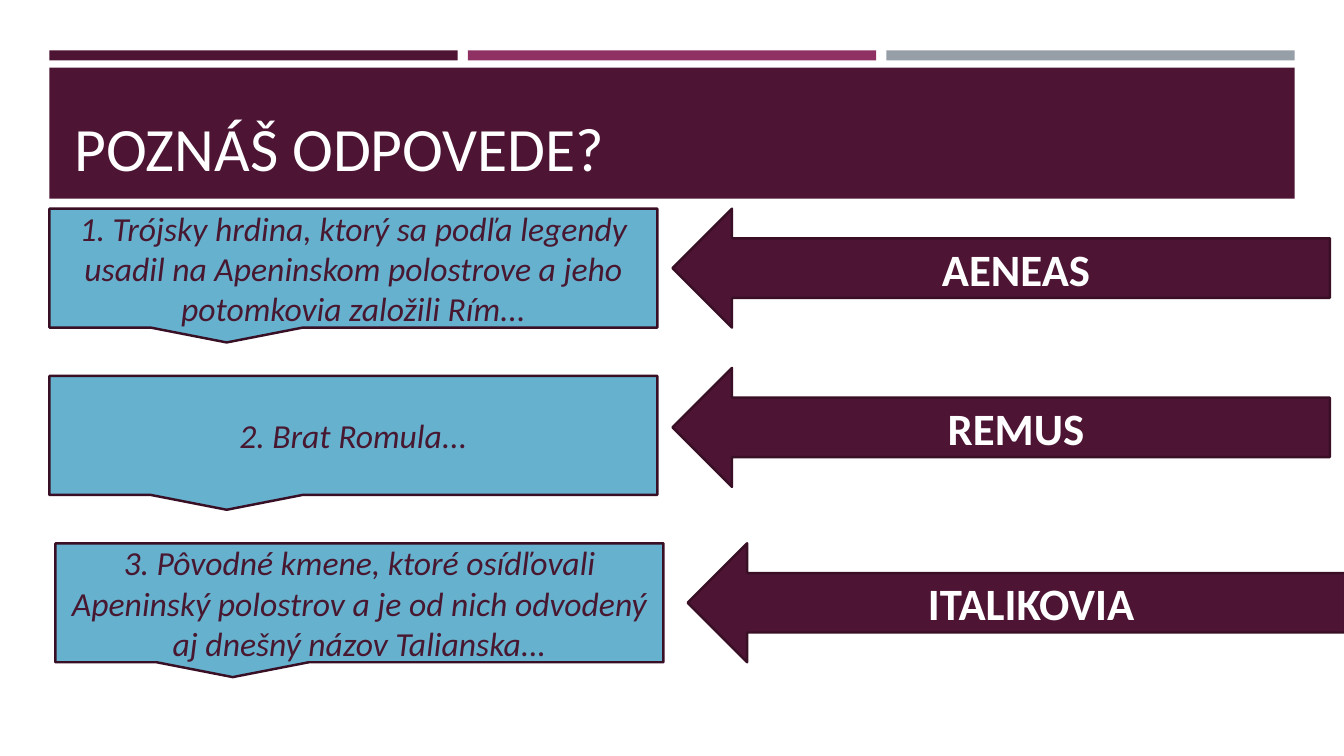
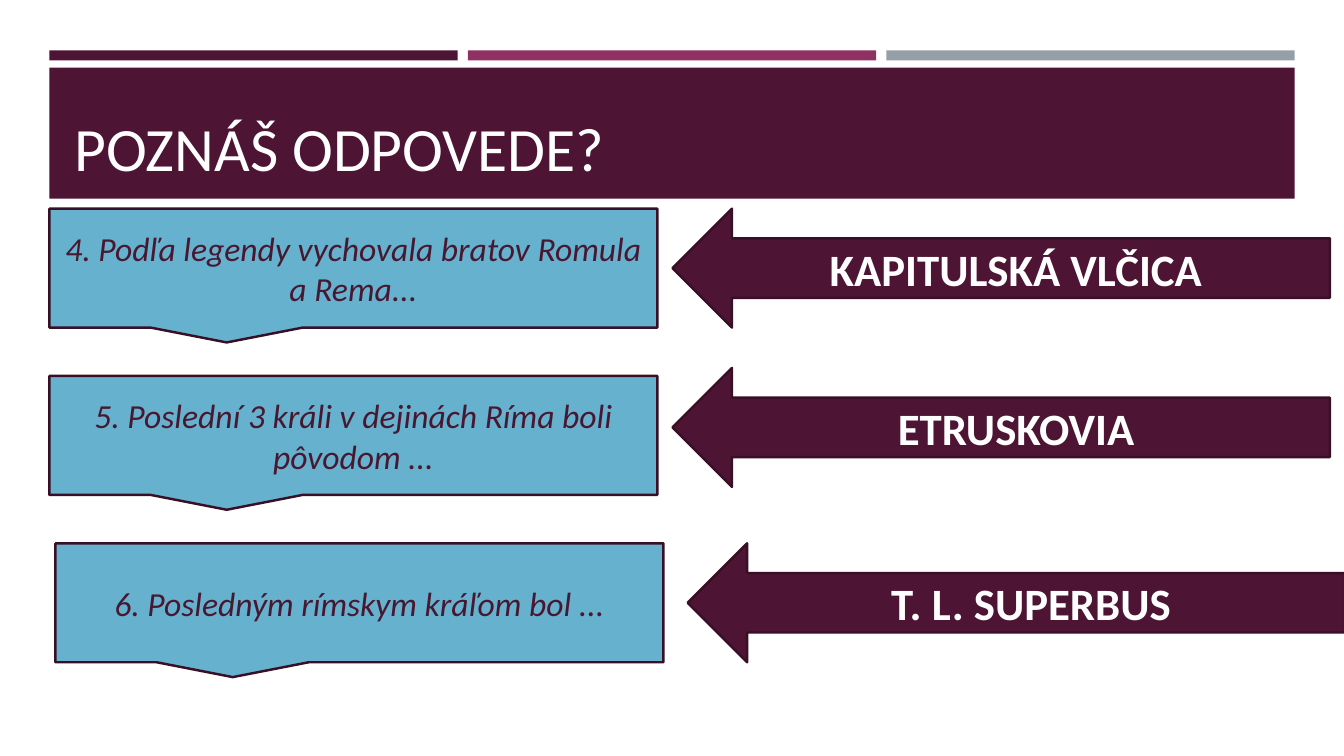
from pptx import Presentation
from pptx.dml.color import RGBColor
from pptx.enum.shapes import MSO_SHAPE as SH
from pptx.enum.text import MSO_ANCHOR as ANC, PP_ALIGN as AL
from pptx.util import Inches, Pt

C = {"plum": "4D1434", "berry": "903163", "grey": "969FA7", "sky": "66B1CE",
     "edge": "390F26", "ink": "481831", "white": "FFFFFF"}
FONT = "Calibri"
TITLE = "POZNÁŠ ODPOVEDE?"

HEADER = (0.49, 0.5, 12.35, 1.47)
BAND_H, BAND_GAP, BAR_TOP = 0.1, 0.1, 0.17
CALLOUT_W, ARROW_W, ROW_H = 6.03, 6.52, 1.18
ROWS = [((0.49, 2.07), (6.67, 2.07)),
        ((0.49, 3.73), (6.67, 3.65)),
        ((0.55, 5.39), (6.82, 5.39))]

QUIZZES = [
    [("1. Trójsky hrdina, ktorý sa podľa legendy usadil na Apeninskom polostrove "
      "a jeho potomkovia založili Rím...", "AENEAS"),
     ("2. Brat Romula...", "REMUS"),
     ("3. Pôvodné kmene, ktoré osídľovali Apeninský polostrov a je od nich odvodený "
      "aj dnešný názov Talianska...", "ITALIKOVIA")],
    [("4. Podľa legendy vychovala bratov Romula a Rema...", "KAPITULSKÁ VLČICA"),
     ("5. Poslední 3 králi v dejinách Ríma boli pôvodom ...", "ETRUSKOVIA"),
     ("6. Posledným rímskym kráľom bol ...", "T. L. SUPERBUS")],
]


def rgb(name):
    return RGBColor.from_string(C[name])


def add_box(s, kind, box, fill, line=None):
    sp = s.shapes.add_shape(kind, *map(Inches, box))
    sp.shadow.inherit = False
    sp.fill.solid()
    sp.fill.fore_color.rgb = rgb(fill)
    if line:
        sp.line.color.rgb = rgb(line)
        sp.line.width = Pt(1.75)
    else:
        sp.line.fill.background()
    return sp


def write(sp, text, size, color, align=AL.CENTER, anchor=ANC.MIDDLE, bold=False, italic=False):
    tf = sp.text_frame
    tf.word_wrap = True
    tf.vertical_anchor = anchor
    tf.text = text
    p = tf.paragraphs[0]
    p.alignment = align
    f = p.runs[0].font
    f.name, f.size, f.bold, f.italic = FONT, Pt(size), bold, italic
    f.color.rgb = rgb(color)


def add_header(s, box, title):
    x, y, w, h = box
    band_w = (w - 2 * BAND_GAP) / 3
    for i, color in enumerate(("plum", "berry", "grey")):
        add_box(s, SH.RECTANGLE, (x + i * (band_w + BAND_GAP), y, band_w, BAND_H), color)
    bar_y, bar_h = y + BAR_TOP, h - BAR_TOP
    add_box(s, SH.RECTANGLE, (x, bar_y, w, bar_h), "plum")
    pad_x, pad_y = 0.15, 0.1
    tb = s.shapes.add_textbox(*map(Inches, (x + pad_x, bar_y + pad_y,
                                            w - 2 * pad_x, bar_h - 2 * pad_y)))
    write(tb, title, 44, "white", AL.LEFT, ANC.BOTTOM)


def add_question(s, box, text):
    sp = add_box(s, SH.RECTANGULAR_CALLOUT, box, "sky", "edge")
    write(sp, text, 24, "ink", italic=True)


def add_answer(s, box, text):
    sp = add_box(s, SH.LEFT_ARROW, box, "plum", "edge")
    write(sp, text, 32, "white", bold=True)


def add_quiz(prs, pairs):
    s = prs.slides.add_slide(prs.slide_layouts[6])
    add_header(s, HEADER, TITLE)
    for (question, answer), (q_at, a_at) in zip(pairs, ROWS):
        add_question(s, (*q_at, CALLOUT_W, ROW_H), question)
        add_answer(s, (*a_at, ARROW_W, ROW_H), answer)


def main():
    prs = Presentation()
    prs.slide_width, prs.slide_height = Inches(13.33), Inches(7.5)
    for pairs in QUIZZES:
        add_quiz(prs, pairs)
    prs.save("out.pptx")


if __name__ == "__main__":
    main()
